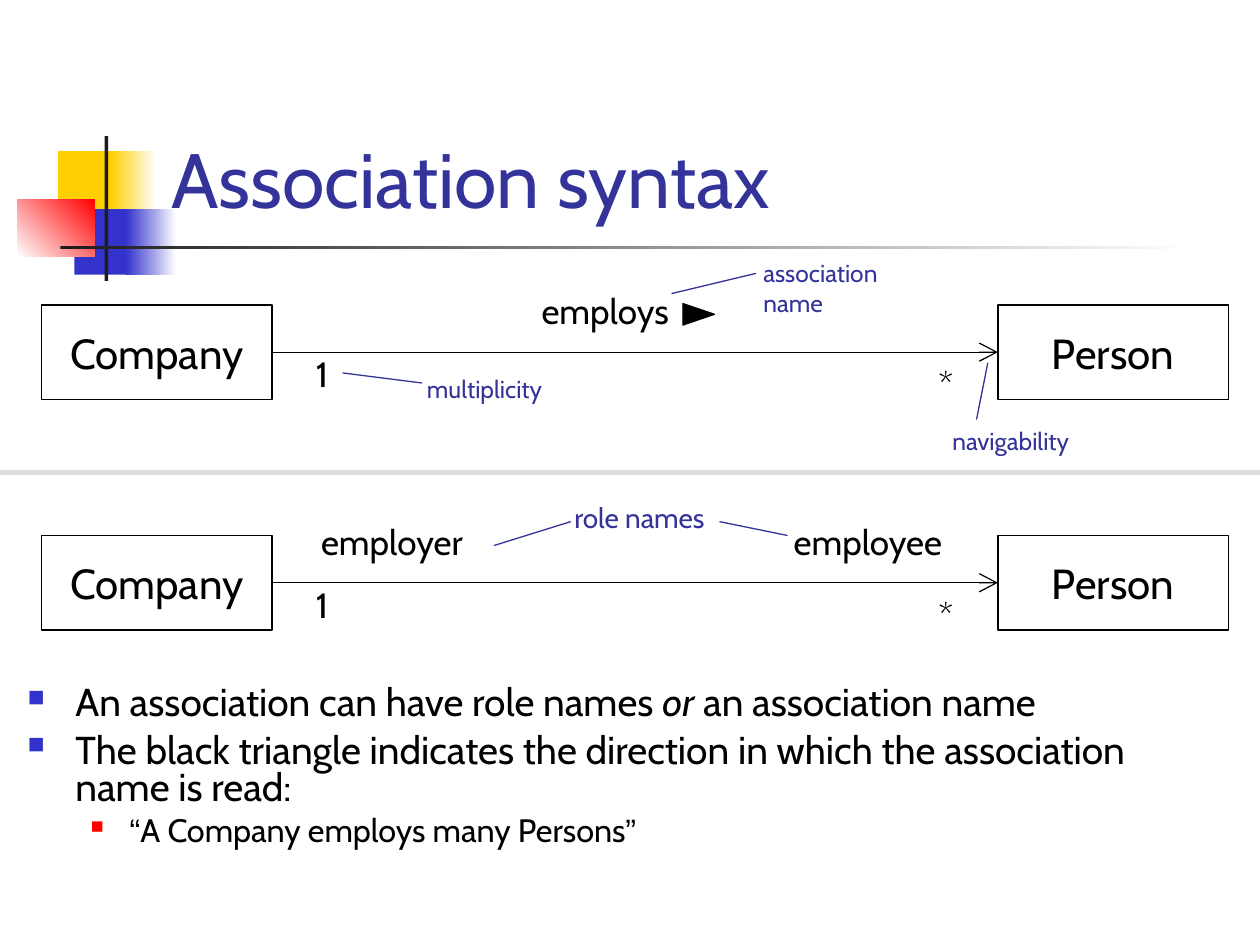
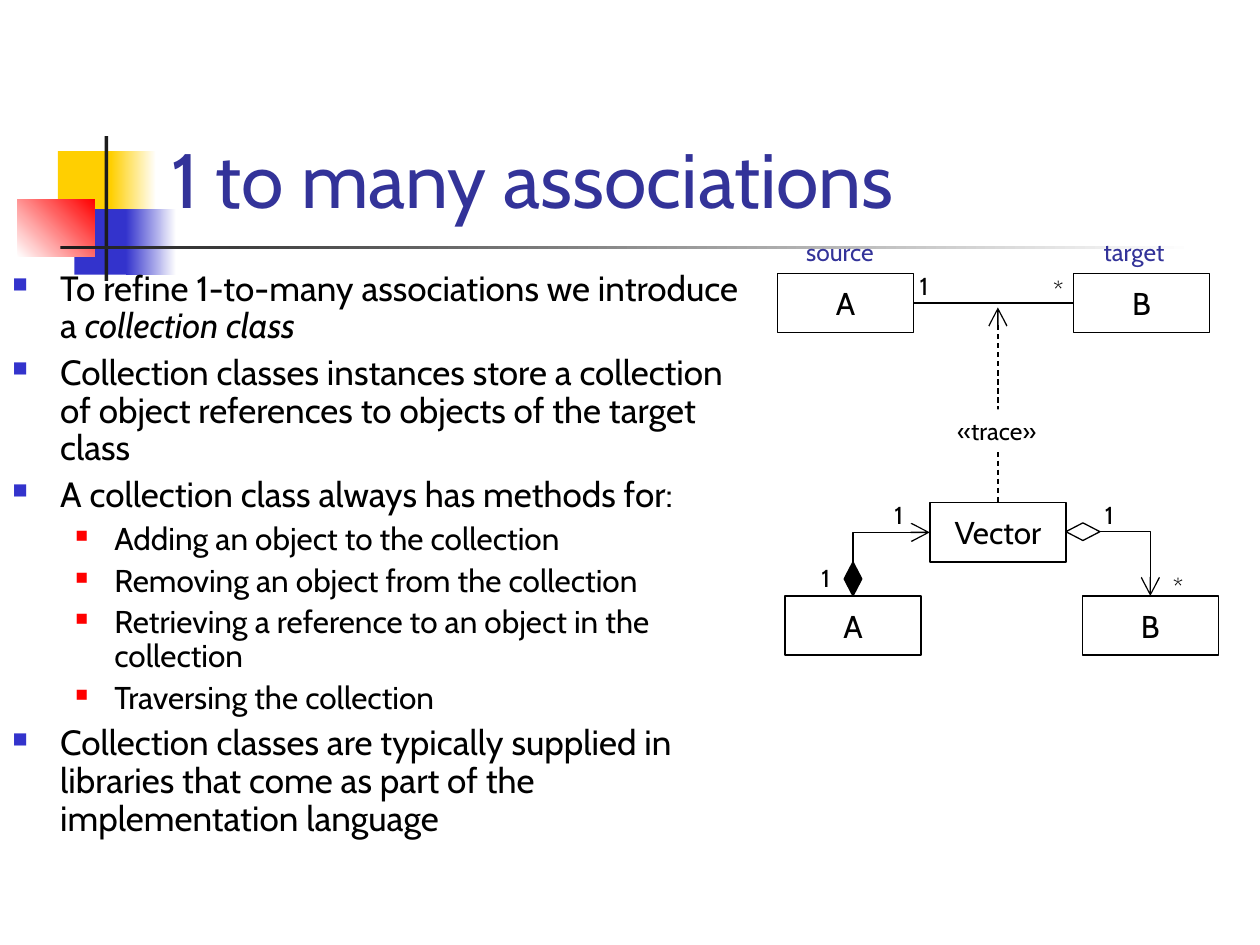
import lxml.etree
import pptx
import pptx.dml.color
import pptx.enum.dml
import pptx.enum.shapes
import pptx.enum.text
import pptx.oxml.ns
import pptx.util

Inches = pptx.util.Inches
Pt = pptx.util.Pt
qn = pptx.oxml.ns.qn
SHAPE = pptx.enum.shapes.MSO_SHAPE
LINK = pptx.enum.shapes.MSO_CONNECTOR
ANCHOR = pptx.enum.text.MSO_ANCHOR
ALIGN = pptx.enum.text.PP_ALIGN

COLORS = {
    "black": "000000", "white": "FFFFFF", "ink": "333399", "blue": "3333CC",
    "gold": "FFCF01", "red": "FF0000", "dark": "1C1C1C", "gray": "DDDDDD",
}
FONT = "Cabin"
TOP, LEFT, RIGHT = 0, 1, 3  # connection sites


def rgb(name):
    return pptx.dml.color.RGBColor.from_string(COLORS[name])


def style(run, size, color="black", italic=False, font=FONT):
    run.font.name = font
    run.font.size = Pt(size)
    run.font.italic = italic
    run.font.color.rgb = rgb(color)


def write(frame, text, size, color="black", align=ALIGN.LEFT,
          anchor=ANCHOR.TOP, wrap=False):
    frame.word_wrap = wrap
    frame.vertical_anchor = anchor
    para = frame.paragraphs[0]
    para.text = text
    para.alignment = align
    for run in para.runs:
        style(run, size, color)


def shape(slide, kind, x, y, w, h, fill=None, line=None):
    item = slide.shapes.add_shape(kind, Inches(x), Inches(y), Inches(w), Inches(h))
    item.shadow.inherit = False
    if fill:
        item.fill.solid()
        item.fill.fore_color.rgb = rgb(fill)
    else:
        item.fill.background()
    if line:
        item.line.color.rgb = rgb(line)
        item.line.width = Pt(0.75)
    else:
        item.line.fill.background()
    return item


def fade(slide, x, y, w, h, start, end="white", angle=0):
    item = shape(slide, SHAPE.RECTANGLE, x, y, w, h)
    item.fill.gradient()
    item.fill.gradient_angle = angle
    for stop, color in zip(item.fill.gradient_stops, (start, end)):
        stop.color.rgb = rgb(color)


def box(slide, text, x, y, w, h, size, fill=None):
    item = shape(slide, SHAPE.RECTANGLE, x, y, w, h, fill, "black")
    write(item.text_frame, text, size, align=ALIGN.CENTER, anchor=ANCHOR.MIDDLE)
    return item


def label(slide, text, x, y, w, size, color="black", fill=None):
    """Place a text box whose height follows from its size and lines."""
    high = (text.count("\v") + 1) * size * 1.215 / 72 + 0.1
    item = slide.shapes.add_textbox(Inches(x), Inches(y), Inches(w), Inches(high))
    if fill:
        item.fill.solid()
        item.fill.fore_color.rgb = rgb(fill)
    write(item.text_frame, text, size, color)
    item.text_frame.auto_size = pptx.enum.text.MSO_AUTO_SIZE.SHAPE_TO_FIT_TEXT


def link(slide, start, end, color="black", width=0.75, arrow=None, dash=False,
         bent=False):
    """Join two ends, each a point (x, y) or a (shape, site) pair.

    arrow is "headEnd" (at start) or "tailEnd" (at end).
    """
    spots = [(0, 0) if hasattr(a, "shape_id") else (a, b) for a, b in (start, end)]
    kind = LINK.ELBOW if bent else LINK.STRAIGHT
    wire = slide.shapes.add_connector(
        kind, *(Inches(value) for spot in spots for value in spot))
    for (item, site), join in ((start, wire.begin_connect), (end, wire.end_connect)):
        if hasattr(item, "shape_id"):
            join(item, site)
    wire.line.color.rgb = rgb(color)
    wire.line.width = Pt(width)
    if dash:
        wire.line.dash_style = pptx.enum.dml.MSO_LINE.DASH
    props = wire._element.spPr
    if bent:
        props.find(qn("a:prstGeom")).set("prst", "bentConnector2")
    if arrow:
        lxml.etree.SubElement(props.find(qn("a:ln")), qn("a:" + arrow),
                              type="arrow", w="lg", len="lg")
    lxml.etree.SubElement(props, qn("a:effectLst"))


def bullets(slide, x, y, w, h, items, sizes, gaps, space):
    """Write (level, run, ...) items; a run is text or (text, format)."""
    frame = slide.shapes.add_textbox(
        Inches(x), Inches(y), Inches(w), Inches(h)).text_frame
    frame.word_wrap = True
    looks = ((0.38, -0.38, "blue", 60), (0.81, -0.31, "red", 55))
    for index, (level, *runs) in enumerate(items):
        para = frame.add_paragraph() if index else frame.paragraphs[0]
        para.level = level
        para.line_spacing = space
        para.space_before = Pt(gaps[level] if index else 0)
        margin, indent, color, scale = looks[level]
        props = para._p.get_or_add_pPr()
        props.set("marL", str(Inches(margin)))
        props.set("indent", str(Inches(indent)))
        tint = lxml.etree.SubElement(props, qn("a:buClr"))
        lxml.etree.SubElement(tint, qn("a:srgbClr"), val=COLORS[color])
        lxml.etree.SubElement(props, qn("a:buSzPct"), val=str(scale * 1000))
        lxml.etree.SubElement(props, qn("a:buChar"), char="■")
        for part in runs:
            text, form = (part, {}) if isinstance(part, str) else part
            run = para.add_run()
            run.text = text
            style(run, sizes[level], **form)


def start(deck, title):
    """Add a slide with the shared ornament and its title."""
    slide = deck.slides.add_slide(deck.slide_layouts[6])
    shape(slide, SHAPE.RECTANGLE, 0.46, 1.2, 0.48, 0.52, "gold")
    fade(slide, 0.88, 1.2, 0.36, 0.52, "gold")
    shape(slide, SHAPE.RECTANGLE, 0.59, 1.66, 0.46, 0.52, "blue")
    fade(slide, 1, 1.66, 0.4, 0.52, "blue")
    fade(slide, 0.14, 1.58, 0.61, 0.46, "white", "red", 45)
    shape(slide, SHAPE.RECTANGLE, 0.83, 1.08, 0.03, 1.15, "dark")
    fade(slide, 0.48, 1.95, 9, 0.03, "dark")
    head = slide.shapes.add_textbox(Inches(1.26), Inches(0.23), Inches(8.52), Inches(1.6))
    write(head.text_frame, title, 44, "ink", anchor=ANCHOR.BOTTOM, wrap=True)
    return slide


def couple(slide, y):
    """Draw Company and Person, joined one to many."""
    firm = box(slide, "Company", 0.33, y, 1.83, 0.75, 24)
    person = box(slide, "Person", 7.92, y, 1.83, 0.75, 24)
    link(slide, (firm, RIGHT), (person, LEFT), arrow="tailEnd")
    label(slide, "1", 2.41, y + 0.33, 0.36, 20)
    label(slide, "*", 7.35, y + 0.41, 0.33, 20)


def syntax(deck):
    slide = start(deck, "Association syntax")
    items = (
        (0, "An association can have role names ", ("or", {"italic": True}),
         " an association name"),
        (0, "The black triangle indicates the direction in which the "
            "association name is read:"),
        (1, ("“", {"font": "Arial"}), "A Company employs many Persons",
         ("”", {"font": "Arial"})),
    )
    bullets(slide, 0.12, 5.4, 9.61, 1.65, items, (22.2, 18.5), (6, 5), 0.8)

    couple(slide, 2.42)
    couple(slide, 4.25)
    label(slide, "employs", 4.2, 2.25, 1.3, 20)
    mark = shape(slide, SHAPE.ISOSCELES_TRIANGLE, 5.46, 2.37, 0.17, 0.25,
                 "black", "black")
    mark.rotation = 90
    label(slide, "employer", 2.45, 4.08, 1.44, 20)
    label(slide, "employee", 6.2, 4.08, 1.48, 20)

    for text, x, y, w, size in (
            ("navigability", 7.46, 3.33, 1.25, 14),
            ("association \vname", 5.96, 2, 1.28, 14),
            ("multiplicity", 3.29, 2.92, 1.21, 14),
            ("role names", 4.46, 3.92, 1.36, 16)):
        label(slide, text, x, y, w, size, "ink")
    for begin, end in (
            ((7.84, 2.88), (7.75, 3.33)), ((5.33, 2.33), (6, 2.17)),
            ((2.72, 2.96), (3.35, 3.04)), ((6.25, 4.25), (5.71, 4.14)),
            ((3.92, 4.33), (4.53, 4.14))):
        link(slide, begin, end, "ink")
    link(slide, (0, 3.75), (10, 3.75), "gray", 3)


def many(deck):
    slide = start(deck, "1 to many associations")
    items = (
        (0, "To refine 1-to-many associations we introduce a ",
         ("collection class", {"italic": True})),
        (0, "Collection classes instances store a collection of object "
            "references to objects of the target class"),
        (0, "A collection class always has methods for:"),
        (1, "Adding an object to the collection"),
        (1, "Removing an object from the collection"),
        (1, "Retrieving a reference to an object in the collection"),
        (1, "Traversing the collection"),
        (0, "Collection classes are typically supplied in libraries that "
            "come as part of the implementation language"),
    )
    bullets(slide, 0, 2.1, 6, 5.4, items, (20, 18), (5, 4.5), 0.9)

    source, target, _, _, vector = [
        box(slide, text, x, y, 1.08, 0.47, 18, "white") for text, x, y in (
            ("A", 6.17, 2.17), ("B", 8.52, 2.17), ("A", 6.23, 4.73),
            ("B", 8.59, 4.73), ("Vector", 7.38, 3.99))]
    link(slide, (source, RIGHT), (target, LEFT))
    whole = shape(slide, SHAPE.DIAMOND, 6.7, 4.46, 0.14, 0.27, "black", "black")
    link(slide, (vector, LEFT), (whole, TOP), arrow="headEnd", bent=True)
    shape(slide, SHAPE.DIAMOND, 8.46, 4.15, 0.27, 0.14, "white", "black")
    link(slide, (8.73, 4.22), (9.13, 4.73), arrow="tailEnd", bent=True)
    link(slide, (7.92, 2.44), (vector, TOP), arrow="headEnd", dash=True)
    label(slide, "«trace»", 7.5, 3.25, 0.86, 14, fill="white")

    for text, x, y in (("1", 7.2, 2.1), ("*", 8.26, 2.13), ("1", 6.42, 4.42),
                       ("*", 9.21, 4.49), ("1", 7, 3.92), ("1", 8.67, 3.92)):
        label(slide, text, x, y, 0.3, 14)
    label(slide, "source", 6.3, 1.83, 0.81, 14, "ink")
    label(slide, "target", 8.66, 1.83, 0.81, 14, "ink")


def main():
    deck = pptx.Presentation()
    deck.slide_width = Inches(10)
    deck.slide_height = Inches(7.5)
    syntax(deck)
    many(deck)
    deck.save("out.pptx")


if __name__ == "__main__":
    main()
